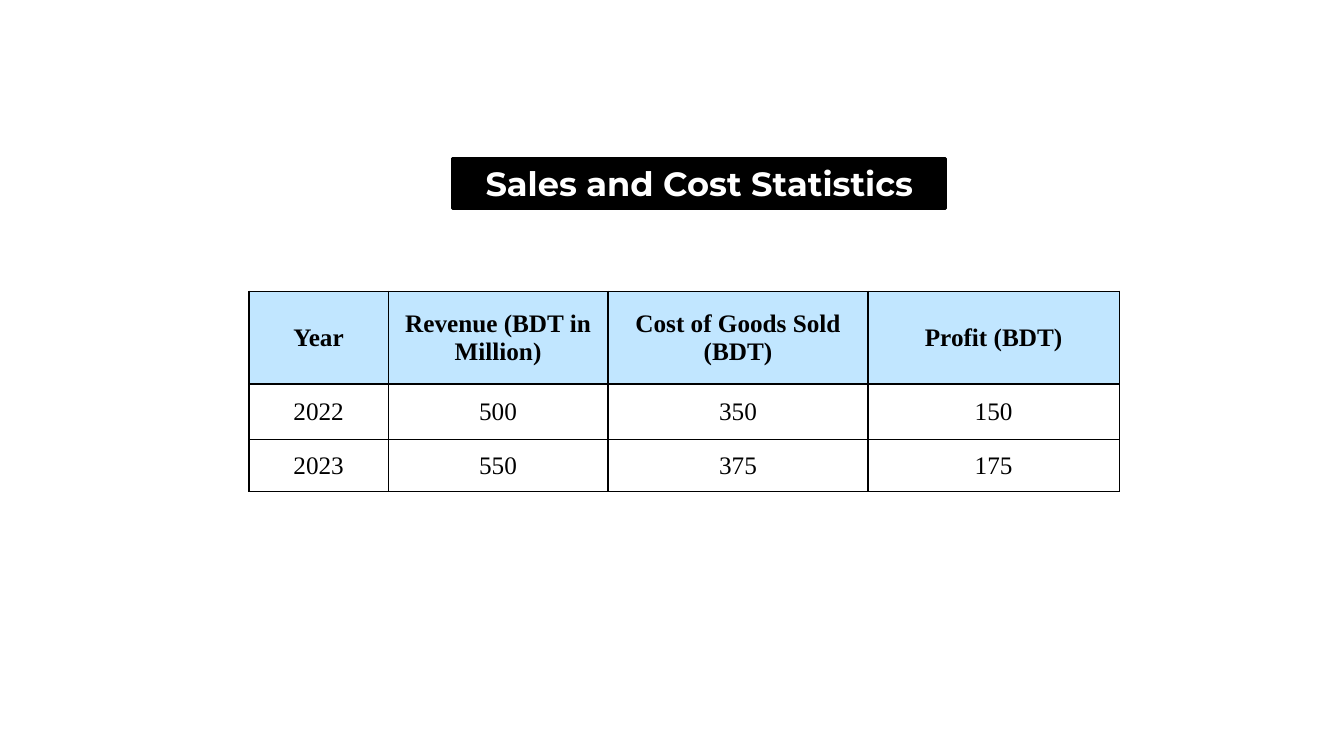
"""Build a slide with a title banner and a table of yearly sales and costs."""
import pptx
import pptx.dml.color
import pptx.enum.shapes
import pptx.enum.text
import pptx.oxml
import pptx.oxml.ns
import pptx.util

Inches = pptx.util.Inches
COLORS = {"ink": "000000", "paper": "FFFFFF", "header": "C1E6FF"}
RGB = {name: pptx.dml.color.RGBColor.from_string(code) for name, code in COLORS.items()}
BANNER_FONT = {"name": "Montserrat", "size": pptx.util.Pt(24), "bold": True}
CELL_FONT = {"name": "Times New Roman", "size": pptx.util.Pt(18)}
CELL_FORMAT = {
    "vertical_anchor": pptx.enum.text.MSO_ANCHOR.MIDDLE,
    "margin_left": Inches(0.01),
    "margin_top": Inches(0.01),
    "margin_right": Inches(0.01),
    "margin_bottom": 0,
}
COLUMN_WIDTHS = [1.38, 2.18, 2.58, 2.49]
ROW_HEIGHTS = [0.92, 0.55, 0.52]
STATISTICS = [
    ["Year", "Revenue (BDT in Million)", "Cost of Goods Sold (BDT)", "Profit (BDT)"],
    ["2022", "500", "350", "150"],
    ["2023", "550", "375", "175"],
]


def write_centered(frame, wording, font_format, color):
    paragraph = frame.paragraphs[0]
    paragraph.alignment = pptx.enum.text.PP_ALIGN.CENTER
    run = paragraph.add_run()
    run.text = wording
    for key, value in font_format.items():
        setattr(run.font, key, value)
    run.font.color.rgb = RGB[color]


def add_borders(cell):
    properties = cell._tc.get_or_add_tcPr()
    for position, side in enumerate(("lnL", "lnR", "lnT", "lnB")):
        border = pptx.oxml.parse_xml(
            f'<a:{side} {pptx.oxml.ns.nsdecls("a")} w="12700"><a:solidFill>'
            f'<a:srgbClr val="{COLORS["ink"]}"/></a:solidFill></a:{side}>'
        )
        properties.insert(position, border)


deck = pptx.Presentation()
deck.slide_width, deck.slide_height = Inches(13.33), Inches(7.5)
slide = deck.slides.add_slide(deck.slide_layouts[6])

banner = slide.shapes.add_shape(
    pptx.enum.shapes.MSO_SHAPE.RECTANGLE,
    Inches(4.49), Inches(1.57), Inches(4.89), Inches(0.5),
)
banner.shadow.inherit = False
banner.fill.solid()
banner.fill.fore_color.rgb = RGB["ink"]
banner.line.color.rgb = RGB["ink"]
banner.line.width = pptx.util.Pt(2)
banner.text_frame.word_wrap = True
banner.text_frame.vertical_anchor = pptx.enum.text.MSO_ANCHOR.MIDDLE
write_centered(banner.text_frame, "Sales and Cost Statistics", BANNER_FONT, "paper")

statistics = slide.shapes.add_table(
    len(ROW_HEIGHTS), len(COLUMN_WIDTHS), Inches(2.47), Inches(2.89),
    Inches(sum(COLUMN_WIDTHS)), Inches(sum(ROW_HEIGHTS)),
).table
for column, width in zip(statistics.columns, COLUMN_WIDTHS):
    column.width = Inches(width)
for row, height in zip(statistics.rows, ROW_HEIGHTS):
    row.height = Inches(height)

for row_index, entries in enumerate(STATISTICS):
    is_header = row_index == 0
    for column_index, entry in enumerate(entries):
        cell = statistics.cell(row_index, column_index)
        for key, value in CELL_FORMAT.items():
            setattr(cell, key, value)
        cell.fill.solid()
        cell.fill.fore_color.rgb = RGB["header" if is_header else "paper"]
        add_borders(cell)
        write_centered(cell.text_frame, entry, {**CELL_FONT, "bold": is_header}, "ink")

deck.save("out.pptx")
